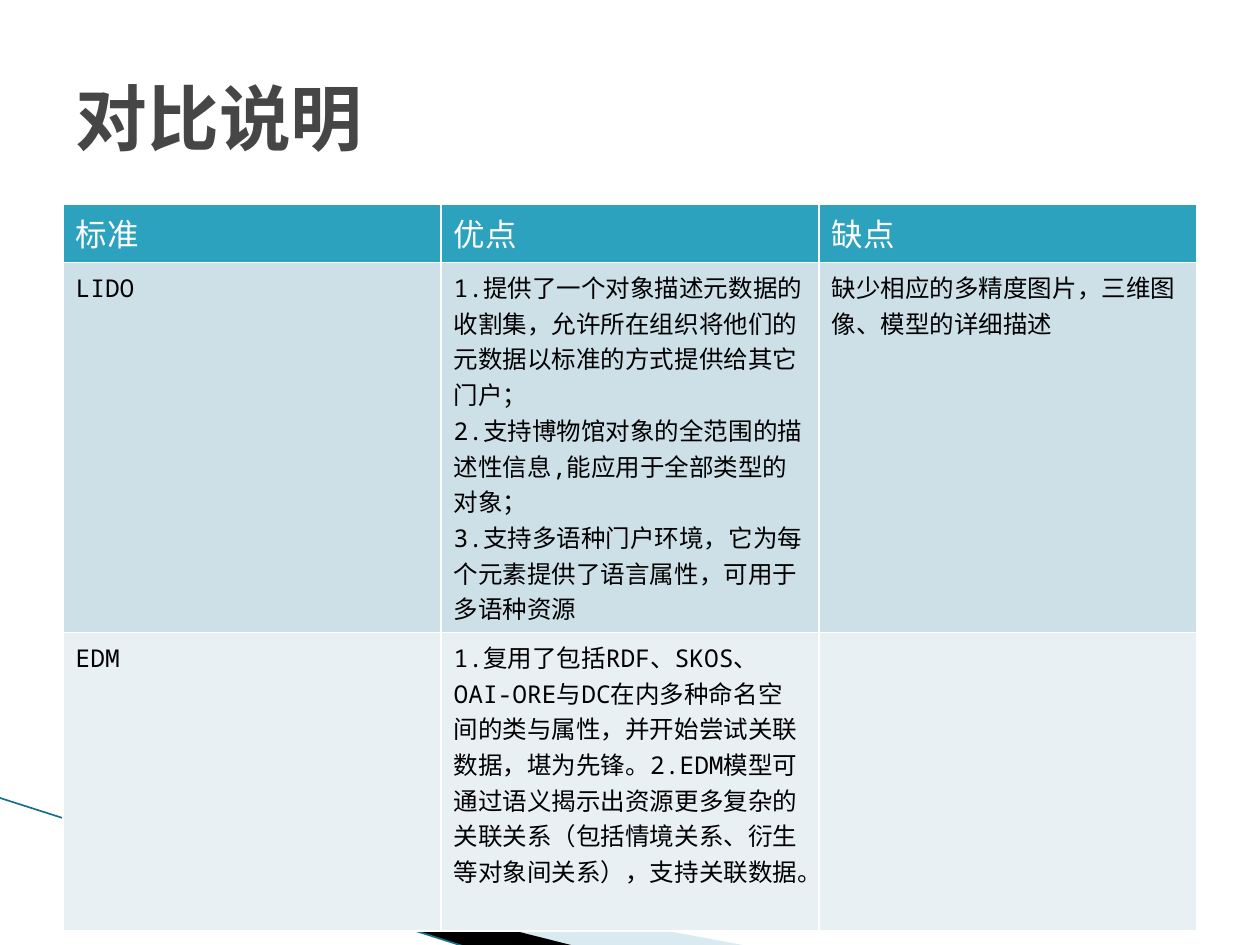
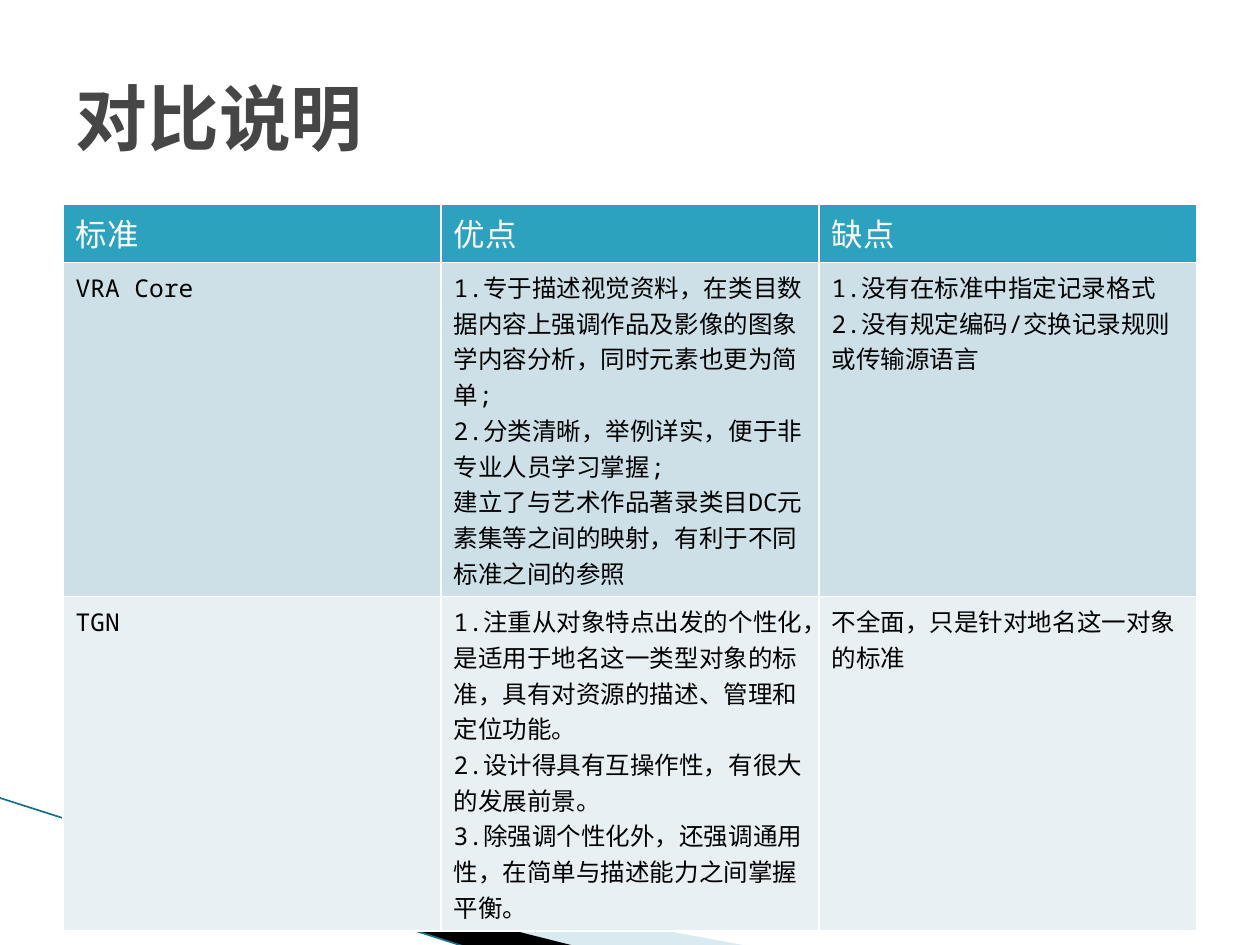
import lxml.etree
import pptx
import pptx.dml.color
import pptx.enum.lang
import pptx.enum.shapes
import pptx.enum.text
import pptx.oxml.ns
import pptx.util

Inches = pptx.util.Inches
Pt = pptx.util.Pt
qn = pptx.oxml.ns.qn

FONT = "Noto Sans Mono"
HEADER_FILL = "2DA2BF"
ROW_FILLS = ["CDE0E8", "E8F0F4"]
TITLE_COLOR = "464646"
CELL_SPACING = 1.07
HEADERS = ["标准", "优点", "缺点"]
TITLE_BOX = (0.5, 0.3, 9, 1.25)
TABLE_BOX = (0.5, 1.62, 9, 1.23)
SWOOSH_BOX = (0, 6.33, 5.95, 1.19)

SLIDES = [
    ("对比说明", [
        [["LIDO"],
         ["1.提供了一个对象描述元数据的收割集，允许所在组织将他们的元数据以标准的方式提供给其它门户；",
          "2.支持博物馆对象的全范围的描述性信息,能应用于全部类型的对象；",
          "3.支持多语种门户环境，它为每个元素提供了语言属性，可用于多语种资源"],
         ["缺少相应的多精度图片，三维图像、模型的详细描述"]],
        [["EDM"],
         ["1.复用了包括RDF、SKOS、OAI-ORE与DC在内多种命名空间的类与属性，并开始尝试关联数据，堪为先锋。"
          "2.EDM模型可通过语义揭示出资源更多复杂的关联关系（包括情境关系、衍生等对象间关系），支持关联数据。"],
         []],
    ]),
    ("对比说明", [
        [["VRA Core"],
         ["1.专于描述视觉资料，在类目数据内容上强调作品及影像的图象学内容分析，同时元素也更为简单;",
          "2.分类清晰，举例详实，便于非专业人员学习掌握;",
          "建立了与艺术作品著录类目DC元素集等之间的映射，有利于不同标准之间的参照"],
         ["1.没有在标准中指定记录格式",
          "2.没有规定编码/交换记录规则或传输源语言"]],
        [["TGN"],
         ["1.注重从对象特点出发的个性化，是适用于地名这一类型对象的标准，具有对资源的描述、管理和定位功能。",
          "2.设计得具有互操作性，有很大的发展前景。",
          "3.除强调个性化外，还强调通用性，在简单与描述能力之间掌握平衡。"],
         ["不全面，只是针对地名这一对象的标准"]],
    ]),
]


def rgb(color):
    """Turn a hex string into a colour."""
    return pptx.dml.color.RGBColor.from_string(color)


def write(tf, lines, size, color, bold=False, spacing=1.0):
    """Write the lines as paragraphs in one font."""
    for i, line in enumerate(lines):
        p = tf.paragraphs[0] if i == 0 else tf.add_paragraph()
        p.text = line
        p.alignment = pptx.enum.text.PP_ALIGN.LEFT
        p.line_spacing = spacing
        p.font.size = Pt(size)
        p.font.bold = bold
        p.font.name = FONT
        p.font.color.rgb = rgb(color)
        p.font.language_id = pptx.enum.lang.MSO_LANGUAGE_ID.SIMPLIFIED_CHINESE
        props = p._p.pPr.find(qn("a:defRPr"))
        lxml.etree.SubElement(props, qn("a:ea"), typeface=FONT)


def add_wedge(slide, box, points, color, alpha=None):
    """Draw a filled outline from points relative to the box."""
    x, y = box[:2]
    pts = [(Inches(x + dx), Inches(y + dy)) for dx, dy in points]
    builder = slide.shapes.build_freeform(*pts[0])
    builder.add_line_segments(pts[1:], close=True)
    sp = builder.convert_to_shape()
    sp.shadow.inherit = False
    sp.fill.solid()
    sp.fill.fore_color.rgb = rgb(color)
    sp.line.fill.background()
    if alpha is not None:
        clr = sp._element.spPr.find(".//" + qn("a:srgbClr"))
        lxml.etree.SubElement(clr, qn("a:alpha"), val=str(alpha * 1000))


def add_swoosh(slide, box):
    """Draw the corner wedges and their edge line."""
    x, y, _, h = box
    add_wedge(slide, box, [(0.55, 0.18), (5.95, 1.18), (4.56, 1.18), (0.55, 0.17)], "A0CBDC", 40)
    add_wedge(slide, box, [(0.53, 0.16), (4.57, 1.18), (3.72, 1.19), (0.54, 0.17)], "000000")
    line = slide.shapes.add_connector(
        pptx.enum.shapes.MSO_CONNECTOR.STRAIGHT,
        Inches(x - 0.01), Inches(y), Inches(x + 3.71), Inches(y + h))
    line.line.color.rgb = rgb("16708A")
    line.line.width = Pt(0.95)
    lxml.etree.SubElement(line._element.spPr, qn("a:effectLst"))


def add_title(slide, box, text):
    """Place and format the title placeholder."""
    title = slide.shapes.title
    title.left, title.top, title.width, title.height = map(Inches, box)
    title.text_frame.vertical_anchor = pptx.enum.text.MSO_ANCHOR.MIDDLE
    write(title.text_frame, [text], 41, TITLE_COLOR, bold=True)


def fill_cell(cell, lines, fill, size, color):
    """Fill one table cell with colour and text."""
    cell.fill.solid()
    cell.fill.fore_color.rgb = rgb(fill)
    write(cell.text_frame, lines, size, color, spacing=CELL_SPACING)


def add_comparison(slide, box, rows):
    """Add the table of standards with their strengths and weaknesses."""
    table = slide.shapes.add_table(len(rows) + 1, len(HEADERS), *map(Inches, box)).table
    for c, header in enumerate(HEADERS):
        fill_cell(table.cell(0, c), [header], HEADER_FILL, 18, "FFFFFF")
    for r, row in enumerate(rows):
        for c, lines in enumerate(row):
            fill_cell(table.cell(r + 1, c), lines, ROW_FILLS[r % 2], 14, "000000")


def add_comparison_slide(prs, title, rows):
    """Build one comparison slide."""
    slide = prs.slides.add_slide(prs.slide_layouts[5])
    add_swoosh(slide, SWOOSH_BOX)
    add_comparison(slide, TABLE_BOX, rows)
    add_title(slide, TITLE_BOX, title)


def main():
    """Build and save the presentation."""
    prs = pptx.Presentation()
    prs.slide_width = Inches(10)
    prs.slide_height = Inches(7.5)
    for title, rows in SLIDES:
        add_comparison_slide(prs, title, rows)
    prs.save("out.pptx")


if __name__ == "__main__":
    main()
